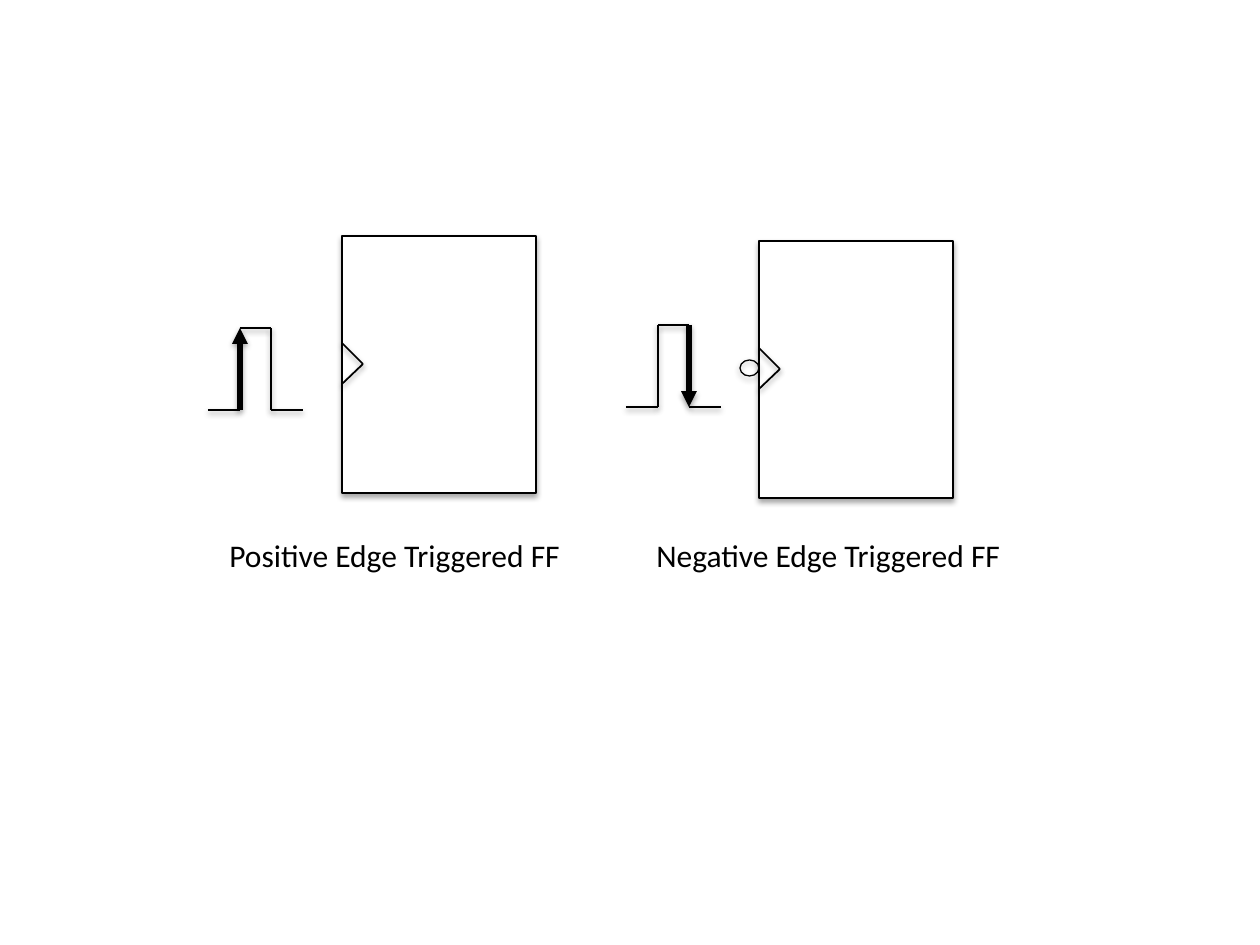
import dataclasses
import itertools

import pptx
import pptx.dml.color
import pptx.enum.shapes
import pptx.enum.text
import pptx.oxml
import pptx.oxml.ns
import pptx.util

SHAPES = pptx.enum.shapes.MSO_SHAPE


@dataclasses.dataclass(frozen=True)
class Theme:
    ink: str = "000000"
    paper: str = "FFFFFF"
    font: str = "Calibri"
    label_size: int = 18
    outline: float = 0.75
    wire: int = 1
    active_edge: int = 3


class Diagram:
    SCALE = 914400 / 126

    def __init__(self, slide, theme):
        self.slide = slide
        self.theme = theme

    def px(self, *lengths):
        return [pptx.util.Emu(round(length * self.SCALE)) for length in lengths]

    def color(self, value):
        return pptx.dml.color.RGBColor.from_string(value)

    def stroke(self, line, width):
        line.color.rgb = self.color(self.theme.ink)
        line.width = pptx.util.Pt(width)

    def add_shadow(self, item, distance, opacity):
        properties = item._element.spPr
        for effects in properties.findall(pptx.oxml.ns.qn("a:effectLst")):
            properties.remove(effects)
        properties.append(pptx.oxml.parse_xml(
            f'<a:effectLst {pptx.oxml.ns.nsdecls("a")}>'
            f'<a:outerShdw blurRad="40000" dist="{distance}" dir="5400000" rotWithShape="0">'
            f'<a:srgbClr val="{self.theme.ink}"><a:alpha val="{opacity * 1000}"/></a:srgbClr>'
            '</a:outerShdw></a:effectLst>'))

    def shape(self, kind, left, top, width, height, fill=None):
        shape = self.slide.shapes.add_shape(kind, *self.px(left, top, width, height))
        if fill:
            shape.fill.solid()
            shape.fill.fore_color.rgb = self.color(fill)
        else:
            shape.fill.background()
        self.stroke(shape.line, self.theme.outline)
        shape.shadow.inherit = False
        self.add_shadow(shape, 23000, 35)

    def line(self, start, end, arrow=False):
        line = self.slide.shapes.add_connector(
            pptx.enum.shapes.MSO_CONNECTOR.STRAIGHT, *self.px(*start, *end))
        self.stroke(line.line, self.theme.active_edge if arrow else self.theme.wire)
        if arrow:
            line.line._get_or_add_ln().append(pptx.oxml.parse_xml(
                f'<a:tailEnd {pptx.oxml.ns.nsdecls("a")} type="triangle"/>'))
        self.add_shadow(line, 20000, 38)

    def flip_flop(self, left, top):
        self.shape(SHAPES.RECTANGLE, left, top, 194, 257, self.theme.paper)
        tip = (left + 21, top + 128)
        for offset in (107, 148):
            self.line((left, top + offset), tip)

    def pulse(self, left, low, active):
        high = low - 82
        first, rise, fall, last = (left + step for step in (0, 32, 63, 95))
        points = [(first, low), (rise, low), (rise, high),
                  (fall, high), (fall, low), (last, low)]
        for index, (start, end) in enumerate(itertools.pairwise(points)):
            self.line(start, end, arrow=index == active)

    def label(self, text, left, top, width):
        box = self.slide.shapes.add_textbox(*self.px(left, top, width, 50))
        frame = box.text_frame
        frame.text = text
        frame.word_wrap = False
        frame.auto_size = pptx.enum.text.MSO_AUTO_SIZE.SHAPE_TO_FIT_TEXT
        font = frame.paragraphs[0].runs[0].font
        font.name = self.theme.font
        font.size = pptx.util.Pt(self.theme.label_size)
        font.color.rgb = self.color(self.theme.ink)


def main():
    deck = pptx.Presentation()
    deck.slide_width = pptx.util.Inches(10)
    deck.slide_height = pptx.util.Inches(7.5)
    page = deck.slides.add_slide(deck.slide_layouts[6])
    diagram = Diagram(page, Theme())

    rising_edge, falling_edge = 1, 3
    diagram.flip_flop(342, 236)
    diagram.flip_flop(759, 241)
    diagram.shape(SHAPES.OVAL, 740, 360, 19, 16)
    diagram.pulse(208, 410, rising_edge)
    diagram.pulse(626, 407, falling_edge)
    diagram.label("Positive Edge Triggered FF", 217, 530, 363)
    diagram.label("Negative Edge Triggered FF", 644, 530, 377)

    deck.save("out.pptx")


if __name__ == "__main__":
    main()
